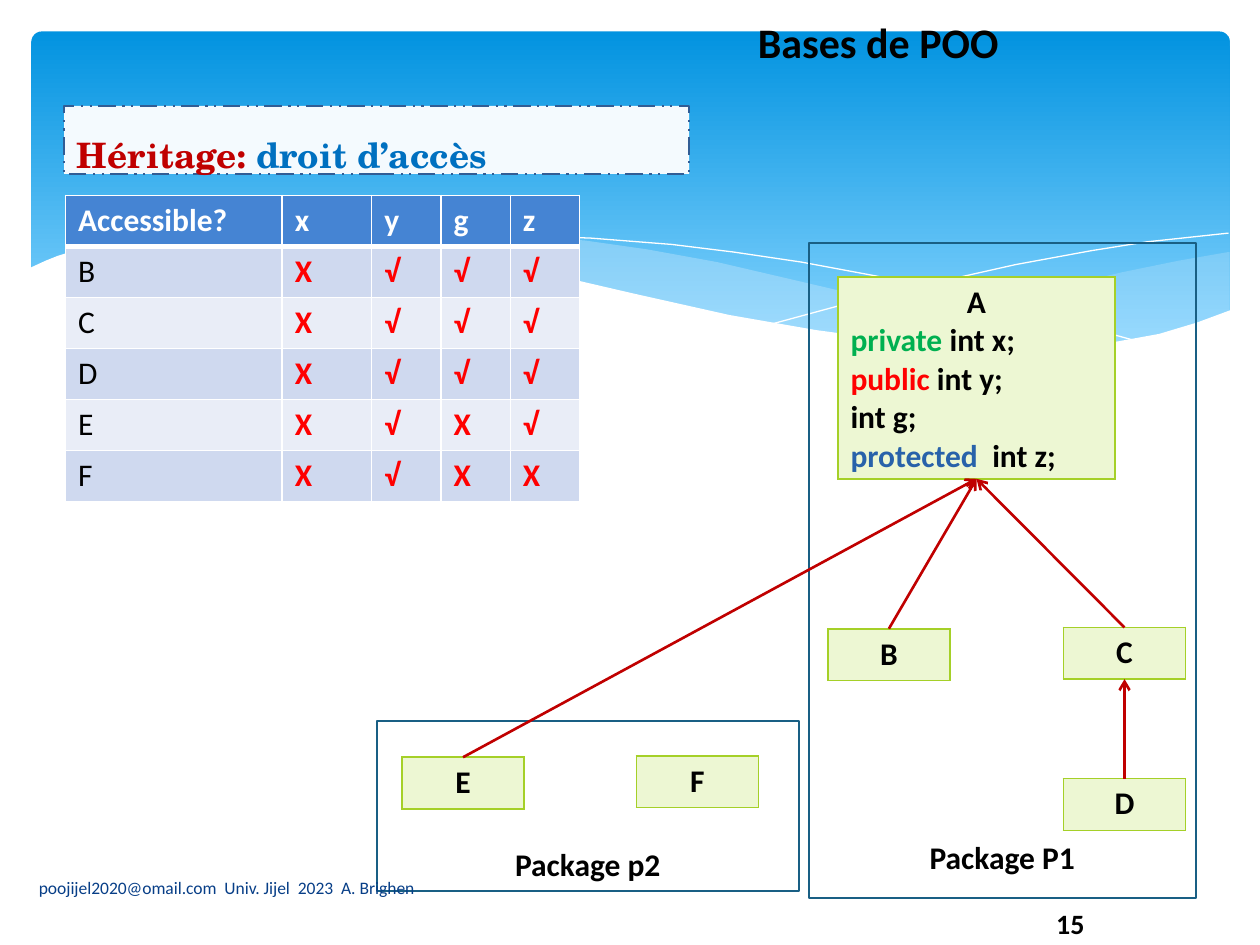
"""Build the lesson slide on access rights and inheritance between packages."""
from typing import NamedTuple, Optional

from lxml.etree import SubElement
from pptx import Presentation
from pptx.dml.color import RGBColor
from pptx.enum.dml import MSO_LINE_DASH_STYLE as Dash
from pptx.enum.shapes import MSO_CONNECTOR_TYPE as Connector, MSO_SHAPE as Shape
from pptx.enum.text import MSO_ANCHOR as Anchor, MSO_AUTO_SIZE as AutoSize, PP_ALIGN as Align
from pptx.oxml.ns import qn
from pptx.util import Inches, Pt

COLUMNS, ROWS = 1000, 750
CELL = Inches(10) // COLUMNS

BLACK, WHITE = RGBColor(0x00, 0x00, 0x00), RGBColor(0xFF, 0xFF, 0xFF)
RED, DARK_RED = RGBColor(0xFF, 0x00, 0x00), RGBColor(0xC0, 0x00, 0x00)
GREEN, BLUE = RGBColor(0x00, 0xB0, 0x50), RGBColor(0x00, 0x70, 0xC0)
STEEL, NAVY = RGBColor(0x28, 0x62, 0xAA), RGBColor(0x07, 0x3E, 0x87)
SKY = (RGBColor(0x02, 0x93, 0xE0), RGBColor(0x83, 0xD3, 0xFE))
WAVE, FRAME = RGBColor(0xC6, 0xE7, 0xFC), RGBColor(0x19, 0x5F, 0x84)
TITLE_FILL, TITLE_LINE = RGBColor(0xF4, 0xFA, 0xFE), RGBColor(0x31, 0x5D, 0x95)
LIME, PALE_LIME = RGBColor(0xA5, 0xD0, 0x28), RGBColor(0xED, 0xF7, 0xD3)
HEADER = RGBColor(0x45, 0x84, 0xD3)
BANDS = (RGBColor(0xCF, 0xD9, 0xEF), RGBColor(0xE9, 0xED, 0xF7))


class Span(NamedTuple):
    text: str
    color: RGBColor = BLACK
    bold: bool = True


class Para(NamedTuple):
    spans: tuple
    align: Align = Align.CENTER
    spacing: Optional[float] = None


class Area(NamedTuple):
    column: int
    row: int
    width: int
    height: int


class Curve(NamedTuple):
    points: tuple
    fill: Optional[RGBColor] = None
    opacity: int = 100


CURVES = (
    Curve(((975, 200), (935, 207), (891, 216), (832, 230), (753, 248), (661, 265), (691, 269),
           (732, 274), (769, 277), (814, 278), (854, 276), (889, 272), (921, 265), (949, 257),
           (976, 247), (976, 200)), WAVE, 29),
    Curve(((893, 273), (837, 265), (775, 254), (706, 240), (629, 222), (569, 208), (514, 198),
           (465, 191), (420, 187), (380, 185), (344, 186), (313, 188), (286, 191), (323, 196),
           (362, 203), (404, 211), (449, 222), (530, 240), (601, 255), (665, 266), (722, 274),
           (773, 277), (818, 278), (857, 277), (893, 273)), WAVE, 40),
    Curve(((309, 195), (335, 191), (374, 188), (416, 187), (469, 189), (533, 194), (582, 200),
           (636, 208), (695, 219), (760, 233), (831, 251), (907, 272))),
    Curve(((613, 257), (672, 241), (748, 223), (806, 210), (866, 199), (910, 192), (975, 185))),
    Curve(((977, 246), (950, 256), (920, 265), (887, 271), (850, 275), (809, 277), (761, 275),
           (708, 270), (648, 262), (579, 250), (503, 233), (447, 220), (391, 207), (340, 197),
           (292, 190), (250, 186), (211, 184), (177, 184), (146, 185), (119, 187), (95, 191),
           (76, 195), (59, 199), (46, 203), (36, 207), (23, 213), (23, 329), (977, 329)), WHITE),
)
PACKAGES = (("Package P1", Area(642, 193, 307, 520), 18),
            ("Package p2", Area(299, 572, 335, 135), 6))
MEMBERS = (
    Para((Span("A"),)),
    Para((Span("private ", GREEN), Span("int x;")), Align.LEFT),
    Para((Span("public ", RED), Span("int y;")), Align.LEFT),
    Para((Span("int g;"),), Align.LEFT),
    Para((Span("protected  ", STEEL), Span("int z;")), Align.LEFT),
)
CORNERS = {"B": (657, 499), "C": (844, 498), "D": (844, 618), "E": (319, 601), "F": (505, 600)}
CLASSES = {"A": Area(665, 220, 220, 160)} | {
    name: Area(*corner, 97, 41) for name, corner in CORNERS.items()}
INHERITANCE = (("B", "A"), ("C", "A"), ("D", "C"), ("E", "A"))
ACCESS = (("Accessible?", "x", "y", "g", "z"), ("B", *"X√√√"), ("C", *"X√√√"),
          ("D", *"X√√√"), ("E", *"X√X√"), ("F", *"X√XX"))
ACCESS_WIDTHS = (172, 71, 55, 55, 55)


def emu(area: Area) -> tuple:
    return tuple(n * CELL for n in area)


def write(frame, paras: tuple, size: float = 18, font: str = "Calibri") -> None:
    for index, para in enumerate(paras):
        line = frame.add_paragraph() if index else frame.paragraphs[0]
        line.alignment, line.line_spacing = para.align, para.spacing
        for span in para.spans:
            run = line.add_run()
            run.text = span.text
            run.font.name, run.font.size, run.font.bold = font, Pt(size), span.bold
            run.font.color.rgb = span.color


def paint(shape, color: RGBColor) -> None:
    shape.fill.solid()
    shape.fill.fore_color.rgb = color


def outline(shape, color: RGBColor, width: float) -> None:
    shape.line.color.rgb = color
    shape.line.width = Pt(width)


def add_label(page, area: Area, para: Para, size: float, anchor: Anchor = Anchor.MIDDLE) -> None:
    frame = page.shapes.add_textbox(*emu(area)).text_frame
    frame.word_wrap, frame.vertical_anchor = True, anchor
    write(frame, (para,), size)


def add_sky(page) -> None:
    sky = page.shapes.add_shape(Shape.ROUNDED_RECTANGLE, *emu(Area(25, 25, 951, 270)))
    sky.shadow.inherit = False
    sky.adjustments[0] = 0.03
    sky.line.fill.background()
    sky.fill.gradient()
    sky.fill.gradient_angle = 270
    for stop, color, position in zip(sky.fill.gradient_stops, SKY, (0, 0.9)):
        stop.color.rgb, stop.position = color, position


def add_curve(page, curve: Curve) -> None:
    builder = page.shapes.build_freeform(*curve.points[0], scale=CELL)
    builder.add_line_segments(curve.points[1:], close=curve.fill is not None)
    shape = builder.convert_to_shape()
    shape.shadow.inherit = False
    if curve.fill is None:
        shape.fill.background()
        outline(shape, WHITE, 0)
        return
    shape.line.fill.background()
    paint(shape, curve.fill)
    color = shape.element.spPr.find(qn("a:solidFill")).find(qn("a:srgbClr"))
    SubElement(color, qn("a:alpha"), val=str(curve.opacity * 1000))


def add_package(page, label: str, area: Area, bottom_inset: int) -> None:
    box = page.shapes.add_shape(Shape.RECTANGLE, *emu(area))
    box.shadow.inherit = False
    box.fill.background()
    outline(box, FRAME, 1.25)
    box.text_frame.vertical_anchor = Anchor.BOTTOM
    box.text_frame.margin_bottom = bottom_inset * CELL
    write(box.text_frame, (Para((Span(label),)),))


def style_cell(cell, fill: RGBColor, border: RGBColor, bottom: float = 1) -> None:
    for side, width in (("L", 1), ("R", 1), ("T", 1), ("B", bottom)):
        edge = SubElement(cell._tc.get_or_add_tcPr(), qn(f"a:ln{side}"), w=str(int(Pt(width))))
        SubElement(SubElement(edge, qn("a:solidFill")), qn("a:srgbClr"), val=str(border))
    paint(cell, fill)


def add_class(page, name: str, area: Area) -> None:
    cell = page.shapes.add_table(1, 1, *emu(area)).table.cell(0, 0)
    style_cell(cell, PALE_LIME, LIME)
    write(cell.text_frame, MEMBERS if name == "A" else (Para((Span(name),)),))


def add_arrow(page, child: Area, parent: Area) -> None:
    ends = (child.column + child.width / 2, child.row,
            parent.column + parent.width / 2, parent.row + parent.height)
    arrow = page.shapes.add_connector(Connector.STRAIGHT, *(round(n * CELL) for n in ends))
    outline(arrow, DARK_RED, 1.5)
    SubElement(arrow.element.spPr.find(qn("a:ln")), qn("a:tailEnd"), type="arrow")
    SubElement(arrow.element.spPr, qn("a:effectLst"))


def add_access_table(page) -> None:
    area = Area(52, 155, sum(ACCESS_WIDTHS), 243)
    table = page.shapes.add_table(len(ACCESS), len(ACCESS_WIDTHS), *emu(area)).table
    for c, width in enumerate(ACCESS_WIDTHS):
        table.columns[c].width = width * CELL
        for r, values in enumerate(ACCESS):
            cell = table.cell(r, c)
            style_cell(cell, BANDS[(r - 1) % 2] if r else HEADER, WHITE, 1 if r else 3)
            color = WHITE if r == 0 else RED if c else BLACK
            write(cell.text_frame, (Para((Span(values[c], color, color != BLACK),), Align.LEFT),))


def place_title(page) -> None:
    title = page.shapes.title
    page.shapes.element.append(title.element)
    title.left, title.top, title.width, title.height = emu(Area(51, 84, 496, 54))
    paint(title, TITLE_FILL)
    outline(title, TITLE_LINE, 1.25)
    title.line.dash_style = Dash.DASH_DOT_DOT
    title.text_frame.auto_size, title.text_frame.vertical_anchor = AutoSize.NONE, Anchor.TOP
    spans = (Span("Héritage: ", DARK_RED), Span("droit d’accès", BLUE))
    write(title.text_frame, (Para(spans, Align.JUSTIFY, 1.5),), 20, "TeX Gyre Schola")


deck = Presentation()
deck.slide_width, deck.slide_height = COLUMNS * CELL, ROWS * CELL
slide = deck.slides.add_slide(deck.slide_layouts[5])
add_sky(slide)
for wave in CURVES:
    add_curve(slide, wave)
place_title(slide)
add_label(slide, Area(508, 13, 378, 46), Para((Span("Bases de POO"),), spacing=0.9), 24, Anchor.TOP)
add_label(slide, Area(733, 713, 233, 40), Para((Span("15"),)), 16)
for package in PACKAGES:
    add_package(slide, *package)
for entry in CLASSES.items():
    add_class(slide, *entry)
for heir, base in INHERITANCE:
    add_arrow(slide, CLASSES[heir], CLASSES[base])
add_access_table(slide)
credit = Span("poojijel2020@omail.com  Univ. Jijel  2023  A. Brighen", NAVY, False)
add_label(slide, Area(21, 684, 414, 40), Para((credit,), Align.LEFT), 10)
deck.save("out.pptx")
